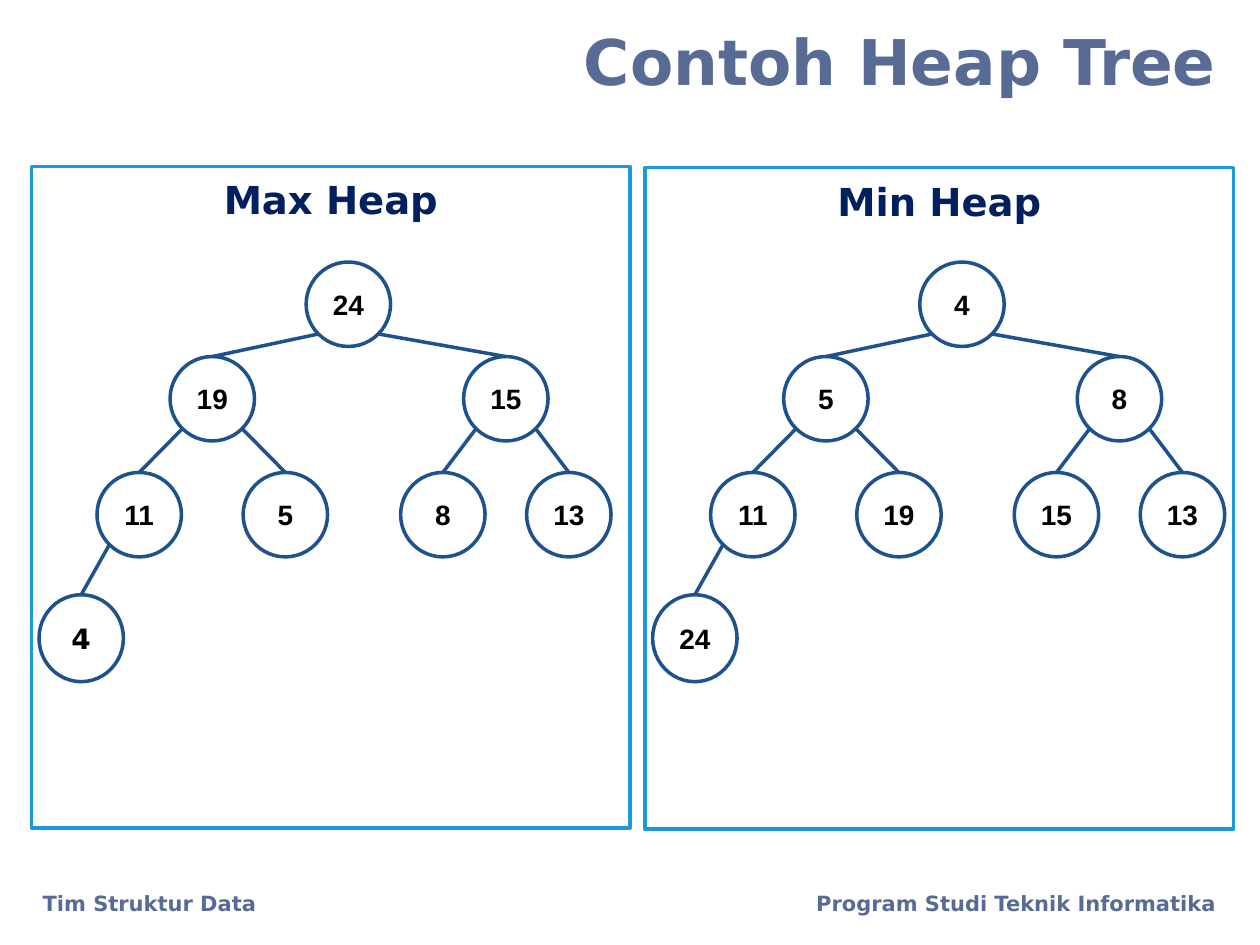
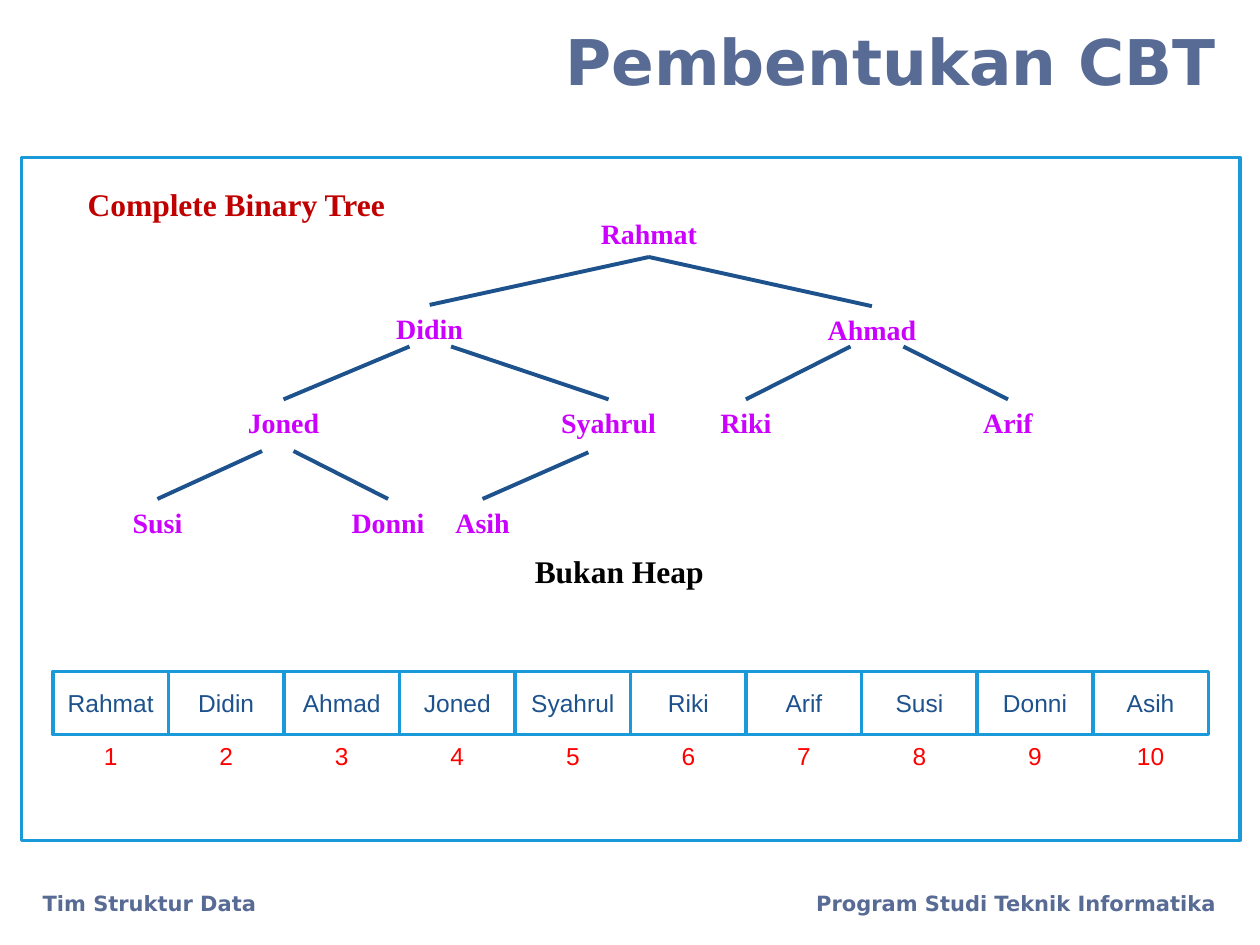
import pptx
import pptx.dml.color
import pptx.enum.shapes
import pptx.enum.text
import pptx.oxml.ns
import pptx.util
from lxml import etree

Inches = pptx.util.Inches
Pt = pptx.util.Pt
SHAPES = pptx.enum.shapes.MSO_SHAPE
ALIGN = pptx.enum.text.PP_ALIGN
ANCHOR = pptx.enum.text.MSO_ANCHOR

WHITE = "FFFFFF"
BLACK = "000000"
SLATE = "586B95"
SKY = "1B9AD9"
NAVY = "1D528D"

STYLES = {
    "title": ({"name": "DejaVu Sans", "size": Pt(36), "bold": True}, SLATE),
    "footer": ({"name": "DejaVu Sans", "size": Pt(12), "bold": True}, SLATE),
    "panel": ({"name": "DejaVu Sans", "size": Pt(22), "bold": True}, "002060"),
    "node": ({"name": "Arial", "size": Pt(16), "bold": True}, BLACK),
    "name": ({"name": "Times New Roman", "size": Pt(16), "bold": True}, "CC00FF"),
    "caption": ({"name": "Times New Roman", "size": Pt(18), "bold": True}, "C00000"),
    "verdict": ({"name": "Times New Roman", "size": Pt(18), "bold": True}, BLACK),
    "cell": ({"name": "Arial", "size": Pt(14), "bold": False}, NAVY),
    "index": ({"name": "Arial", "size": Pt(14), "bold": False}, "FF0000"),
}

NODE_SIZE = 0.67
NODE_REACH = 0.235
HEAP_POSITIONS = [
    (2.43, 2.08), (1.35, 2.83), (3.68, 2.83), (0.77, 3.75),
    (1.93, 3.75), (3.18, 3.75), (4.18, 3.75), (0.31, 4.72),
]
MAX_HEAP = [24, 19, 15, 11, 5, 8, 13, 4]
MIN_HEAP = [4, 5, 8, 11, 19, 15, 13, 24]
MIN_HEAP_OFFSET = 4.87

NAME_WIDTH = 1
NAME_HEIGHT = 0.37
NAMES = [
    ("Rahmat", 5.15, 1.67), ("Didin", 3.41, 2.42), ("Ahmad", 6.92, 2.43),
    ("Joned", 2.25, 3.17), ("Syahrul", 4.83, 3.17), ("Riki", 5.92, 3.17),
    ("Arif", 8, 3.17), ("Susi", 1.25, 3.96), ("Donni", 3.08, 3.96),
    ("Asih", 3.83, 3.96),
]
BRANCH_STARTS = [
    (5.15, 2.04), (5.15, 2.04), (3.25, 2.75), (3.58, 2.75), (6.75, 2.75),
    (7.17, 2.75), (2.08, 3.58), (2.33, 3.58), (4.67, 3.59),
]


def rgb(value):
    return pptx.dml.color.RGBColor.from_string(value)


def set_attributes(target, values):
    for attribute, value in values.items():
        setattr(target, attribute, value)


def write_text(shape, text, style, align=ALIGN.CENTER, **frame_values):
    set_attributes(shape.text_frame, {"word_wrap": True, **frame_values})
    paragraph = shape.text_frame.paragraphs[0]
    paragraph.alignment = align
    run = paragraph.add_run()
    run.text = text
    font_values, color = STYLES[style]
    set_attributes(run.font, font_values)
    run.font.color.rgb = rgb(color)


def add_text(slide, text, box, style, align=ALIGN.CENTER, **frame_values):
    shape = slide.shapes.add_textbox(*map(Inches, box))
    write_text(shape, text, style, align, **frame_values)
    return shape


def add_outlined(slide, kind, box, line, fill=WHITE):
    shape = slide.shapes.add_shape(kind, *map(Inches, box))
    shape.shadow.inherit = False
    if fill:
        shape.fill.solid()
        shape.fill.fore_color.rgb = rgb(fill)
    else:
        shape.fill.background()
    shape.line.color.rgb = rgb(line)
    shape.line.width = Pt(2)
    return shape


def add_branch(slide, start, end, child, width):
    connector = slide.shapes.add_connector(
        pptx.enum.shapes.MSO_CONNECTOR.STRAIGHT, *map(Inches, start + end))
    connector.line.color.rgb = rgb(NAVY)
    connector.line.width = Pt(width)
    connector.end_connect(child, 0)
    properties = connector.element.spPr
    etree.SubElement(properties, pptx.oxml.ns.qn("a:effectLst"))
    return connector


def add_base_slide(presentation, title):
    slide = presentation.slides.add_slide(presentation.slide_layouts[6])
    add_text(slide, "Tim Struktur Data", (0.24, 7.02, 3.01, 0.35), "footer", ALIGN.LEFT)
    add_text(slide, "Program Studi Teknik Informatika", (6.08, 7.02, 3.67, 0.5),
             "footer", ALIGN.RIGHT)
    add_text(slide, title, (0.75, 0.17, 9, 0.62), "title", ALIGN.RIGHT,
             vertical_anchor=ANCHOR.MIDDLE)
    return slide


def add_panel(slide, heading, box):
    panel = add_outlined(slide, SHAPES.RECTANGLE, box, SKY)
    write_text(panel, heading, "panel", vertical_anchor=ANCHOR.TOP,
               margin_top=Inches(0.08))


def add_heap(slide, values, offset=0):
    radius = NODE_SIZE / 2
    nodes = []
    for index, (value, (left, top)) in enumerate(zip(values, HEAP_POSITIONS)):
        left += offset
        height = 0.69 if index == 7 else NODE_SIZE
        node = add_outlined(slide, SHAPES.OVAL, (left, top, NODE_SIZE, height), NAVY)
        write_text(node, str(value), "node", vertical_anchor=ANCHOR.MIDDLE,
                   word_wrap=False, margin_left=0, margin_right=0)
        nodes.append(node)
        if index:
            parent_left, parent_top = HEAP_POSITIONS[(index - 1) // 2]
            side = -NODE_REACH if index % 2 else NODE_REACH
            start = (parent_left + offset + radius + side, parent_top + radius + NODE_REACH)
            add_branch(slide, start, (left + radius, top), node, 2)
    return nodes


def add_name_tree(slide):
    labels = []
    for index, (name, center, top) in enumerate(NAMES):
        box = (center - NAME_WIDTH / 2, top, NAME_WIDTH, NAME_HEIGHT)
        label = add_text(slide, name, box, "name")
        labels.append(label)
        if index:
            branch = add_branch(slide, BRANCH_STARTS[index - 1], (center, top), label, 2.25)
            if index < 3:
                branch.begin_connect(labels[0], 2)


def add_array(slide, left=0.42, top=5.33, width=9.17, height=0.5):
    step = width / len(NAMES)
    for index, (name, _, _) in enumerate(NAMES):
        cell_left = left + index * step
        cell = add_outlined(slide, SHAPES.RECTANGLE, (cell_left, top, step, height), SKY)
        write_text(cell, name, "cell", vertical_anchor=ANCHOR.MIDDLE,
                   margin_left=0, margin_right=0)
        number = str(index + 1)
        number_width = 0.33 if len(number) == 1 else 0.5
        number_left = cell_left + (step - number_width) / 2
        add_text(slide, number, (number_left, top + height, number_width, 0.33), "index")


def build_heap_slide(presentation):
    slide = add_base_slide(presentation, "Contoh Heap Tree")
    add_panel(slide, "Max Heap", (0.25, 1.32, 4.75, 5.25))
    add_panel(slide, "Min Heap", (5.12, 1.33, 4.67, 5.25))
    max_nodes = add_heap(slide, MAX_HEAP)
    max_nodes[-1].text_frame.paragraphs[0].runs[0].font.name = "DejaVu Sans"
    add_heap(slide, MIN_HEAP, MIN_HEAP_OFFSET)


def build_tree_slide(presentation):
    slide = add_base_slide(presentation, "Pembentukan CBT")
    add_outlined(slide, SHAPES.RECTANGLE, (0.17, 1.25, 9.67, 5.42), SKY, fill=None)
    add_name_tree(slide)
    add_text(slide, "Bukan Heap", (4, 4.33, 1.83, 0.4), "verdict")
    add_text(slide, "Complete Binary Tree", (0.25, 1.42, 3.25, 0.4), "caption")
    add_array(slide)


def main():
    presentation = pptx.Presentation()
    presentation.slide_width = Inches(10)
    presentation.slide_height = Inches(7.5)
    build_heap_slide(presentation)
    build_tree_slide(presentation)
    presentation.save("out.pptx")


if __name__ == "__main__":
    main()
